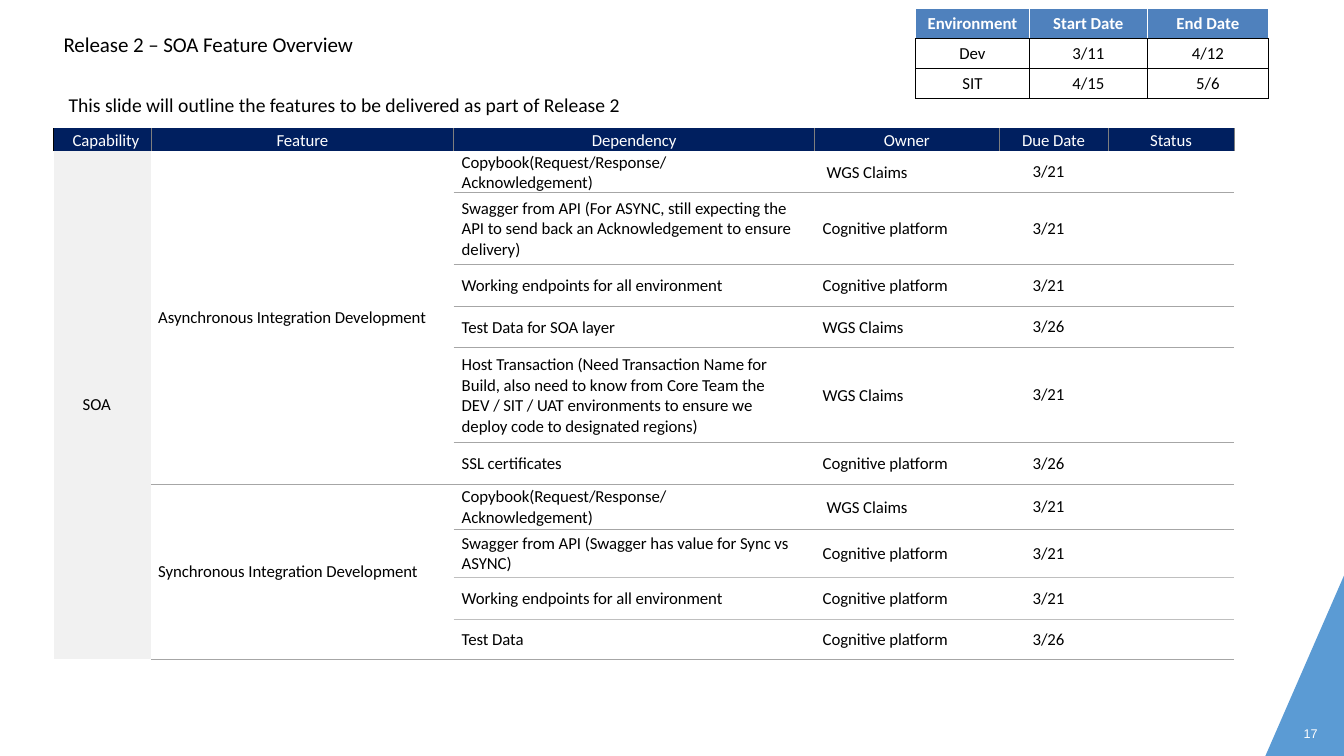
from dataclasses import dataclass, field, replace
from typing import Any

import pptx
import pptx.dml.color
import pptx.enum.text
import pptx.oxml
import pptx.oxml.ns
import pptx.util
from lxml import etree

PX = 9144  # EMU in one px, 100 px to the inch
COLORS = {
    "black": "000000", "white": "FFFFFF", "navy": "001F5F", "blue": "4F81BD",
    "corner": "5B9BD4", "capability": "F1F1F1", "divider": "7E7E7E",
    "rule": "A6A6A6", "light_rule": "BFBFBF",
}
PLAIN_TABLE = "{2D5ABB26-0587-4C30-8999-92F81FD0307C}"
ALIGN = pptx.enum.text.PP_ALIGN
ANCHOR = pptx.enum.text.MSO_ANCHOR


@dataclass(frozen=True)
class TextStyle:
    size: int = 12
    color: str = "black"
    font: str = "Calibri"
    bold: bool = False
    spacing: int = -5  # hundredths of a point
    align: Any = ALIGN.LEFT
    before: int = 0


@dataclass(frozen=True)
class CellStyle:
    text: TextStyle = TextStyle()
    anchor: Any = ANCHOR.MIDDLE
    margins: tuple[int, int, int, int] = (0, 0, 0, 0)  # left, top, right, bottom
    fill: str | None = None
    borders: dict[str, tuple[str, float]] = field(default_factory=dict)


@dataclass(frozen=True)
class Dependency:
    name: str
    owner: str
    due: str
    owner_indent: int = 0
    rule: str = "rule"


@dataclass(frozen=True)
class Feature:
    name: str
    dependencies: list[Dependency]


def px(length: int) -> pptx.util.Emu:
    return pptx.util.Emu(length * PX)


def rgb(name: str) -> pptx.dml.color.RGBColor:
    return pptx.dml.color.RGBColor.from_string(COLORS[name])


def apply(target: Any, values: dict[str, Any]) -> None:
    for attribute, value in values.items():
        setattr(target, attribute, value)


def write(paragraph: Any, text: str, style: TextStyle) -> None:
    apply(paragraph, {"alignment": style.align})
    if style.before:
        paragraph.space_before = pptx.util.Pt(style.before)
    run = paragraph.add_run()
    run.text = text
    apply(run.font, {"size": pptx.util.Pt(style.size), "name": style.font, "bold": style.bold})
    run.font.color.rgb = rgb(style.color)
    run.font._element.set("spc", str(style.spacing))


def set_margins(target: Any, margins: tuple[int, int, int, int]) -> None:
    sides = ("margin_left", "margin_top", "margin_right", "margin_bottom")
    apply(target, {side: px(margin) for side, margin in zip(sides, margins)})


def add_text(slide: Any, box: tuple[int, int, int, int], lines: list[tuple[str, TextStyle, int]]) -> None:
    frame = slide.shapes.add_textbox(*map(px, box)).text_frame
    frame.word_wrap = True
    set_margins(frame, (0, 0, 0, 0))
    for index, (text, style, indent) in enumerate(lines):
        paragraph = frame.add_paragraph() if index else frame.paragraphs[0]
        paragraph._p.get_or_add_pPr().set("marL", str(indent * PX))
        write(paragraph, text, style)


def format_cell(cell: Any, style: CellStyle, text: str = "") -> None:
    set_margins(cell, style.margins)
    cell.vertical_anchor = style.anchor
    properties = cell._tc.get_or_add_tcPr()
    for side in "LRTB":
        if side in style.borders:
            color, width = style.borders[side]
            line = etree.SubElement(properties, pptx.oxml.ns.qn(f"a:ln{side}"), w=str(int(width * 12700)))
            solid = etree.SubElement(line, pptx.oxml.ns.qn("a:solidFill"))
            etree.SubElement(solid, pptx.oxml.ns.qn("a:srgbClr"), val=COLORS[color])
    if style.fill:
        cell.fill.solid()
        cell.fill.fore_color.rgb = rgb(style.fill)
    else:
        cell.fill.background()
    if text:
        write(cell.text_frame.paragraphs[0], text, style.text)


def add_plain_table(slide: Any, left: int, top: int, widths: list[int], heights: list[int]) -> Any:
    table = slide.shapes.add_table(
        len(heights), len(widths), px(left), px(top), px(sum(widths)), px(sum(heights))).table
    apply(table, {"first_row": False, "horz_banding": False})
    table._tbl.tblPr.find(pptx.oxml.ns.qn("a:tableStyleId")).text = PLAIN_TABLE
    for column, width in zip(table.columns, widths):
        column.width = px(width)
    for row, height in zip(table.rows, heights):
        row.height = px(height)
    return table


# Content
HEADINGS = ["Capability", "Feature", "Dependency", "Owner", "Due Date", "Status"]
COPYBOOK = Dependency("Copybook(Request/Response/Acknowledgement)", "WGS Claims", "3/21", owner_indent=4)
ENDPOINTS = Dependency("Working endpoints for all environment", "Cognitive platform", "3/21")
FEATURES = [
    Feature("Asynchronous Integration Development", [
        COPYBOOK,
        Dependency("Swagger from API (For ASYNC, still expecting the API to send back an "
                   "Acknowledgement to ensure delivery)", "Cognitive platform", "3/21"),
        ENDPOINTS,
        Dependency("Test Data for SOA layer", "WGS Claims", "3/26"),
        Dependency("Host Transaction (Need Transaction Name for Build, also need to know from Core "
                   "Team the DEV / SIT / UAT environments to ensure we deploy code to designated "
                   "regions)", "WGS Claims", "3/21"),
        Dependency("SSL certificates", "Cognitive platform", "3/26"),
    ]),
    Feature("Synchronous Integration Development", [
        COPYBOOK,
        Dependency("Swagger from API (Swagger has value for Sync vs ASYNC)",
                   "Cognitive platform", "3/21", rule="light_rule"),
        replace(ENDPOINTS, rule="light_rule"),
        Dependency("Test Data", "Cognitive platform", "3/26"),
    ]),
]
ENVIRONMENTS = [["Environment", "Start Date", "End Date"], ["Dev", "3/11", "4/12"], ["SIT", "4/15", "5/6"]]


def add_features(slide: Any) -> None:
    heights = [23, 41, 71, 42, 41, 94, 42, 44, 48, 42, 39]
    table = add_plain_table(slide, 53, 127, [97, 300, 358, 183, 108, 125], heights)
    centered = TextStyle(align=ALIGN.CENTER)

    # Heading row
    for column, heading in enumerate(HEADINGS):
        first = column == 0
        format_cell(table.cell(0, column), CellStyle(
            TextStyle(color="white", align=ALIGN.LEFT if first else ALIGN.CENTER), ANCHOR.TOP,
            (19 if first else 0, 3, 0, 0), "navy",
            {"L": ("black", 1) if first else ("divider", 0.75), "R": ("divider", 0.75)}), heading)

    # Capability column
    table.cell(1, 0).merge(table.cell(len(heights) - 1, 0))
    format_cell(table.cell(1, 0), CellStyle(
        centered, margins=(7, 0, 18, 0), fill="capability", borders={"L": ("white", 1)}), "SOA")

    # Features with their dependencies
    row = 1
    for feature in FEATURES:
        last = row + len(feature.dependencies) - 1
        table.cell(row, 1).merge(table.cell(last, 1))
        format_cell(table.cell(row, 1), CellStyle(
            margins=(7, 0, 0, 0), borders={"B": ("rule", 0.75)}), feature.name)
        for row, item in enumerate(feature.dependencies, row):
            base = CellStyle(margins=(8, 1, 20, 0), borders={"B": (item.rule, 0.75)})
            format_cell(table.cell(row, 2), base, item.name)
            format_cell(table.cell(row, 3), replace(base, margins=(8 + item.owner_indent, 1, 1, 0)), item.owner)
            format_cell(table.cell(row, 4), replace(base, text=centered, margins=(0, 0, 10, 0)), item.due)
            format_cell(table.cell(row, 5), replace(base, margins=(0, 0, 0, 0)))
        row = last + 1


def add_environments(slide: Any) -> None:
    table = add_plain_table(slide, 908, 8, [113, 117, 120], [30] * 3)
    body = CellStyle(TextStyle(align=ALIGN.CENTER, spacing=0), margins=(10, 5, 10, 5),
                     borders={side: ("black", 0.75) for side in "LRTB"})
    heading = replace(body, text=replace(body.text, color="white", bold=True), anchor=ANCHOR.TOP, fill="blue",
                      borders={**{side: ("white", 1) for side in "LRT"}, "B": ("black", 0.75)})
    for row, texts in enumerate(ENVIRONMENTS):
        for column, text in enumerate(texts):
            format_cell(table.cell(row, column), body if row else heading, text)


def main() -> None:
    deck = pptx.Presentation()
    apply(deck, {"slide_width": px(1333), "slide_height": px(750)})
    slide = deck.slides.add_slide(deck.slide_layouts[6])

    # Corner wedge
    outline = slide.shapes.build_freeform(1333, 571, scale=PX)
    outline.add_line_segments([(1255, 750), (1333, 750)], close=True)
    corner = outline.convert_to_shape()
    corner.shadow.inherit = False
    corner.fill.solid()
    corner.fill.fore_color.rgb = rgb("corner")
    corner.line.fill.background()

    # Title and page number
    add_text(slide, (62, 31, 662, 86), [
        ("Release 2 – SOA Feature Overview", TextStyle(size=15), 1),
        ("This slide will outline the features to be delivered as part of Release 2",
         TextStyle(size=14, spacing=0, before=26), 6),
    ])
    add_text(slide, (1290, 720, 20, 17), [("17", TextStyle(size=9, color="white", font="Arial"), 3)])

    add_features(slide)
    add_environments(slide)
    deck.save("out.pptx")


if __name__ == "__main__":
    main()
